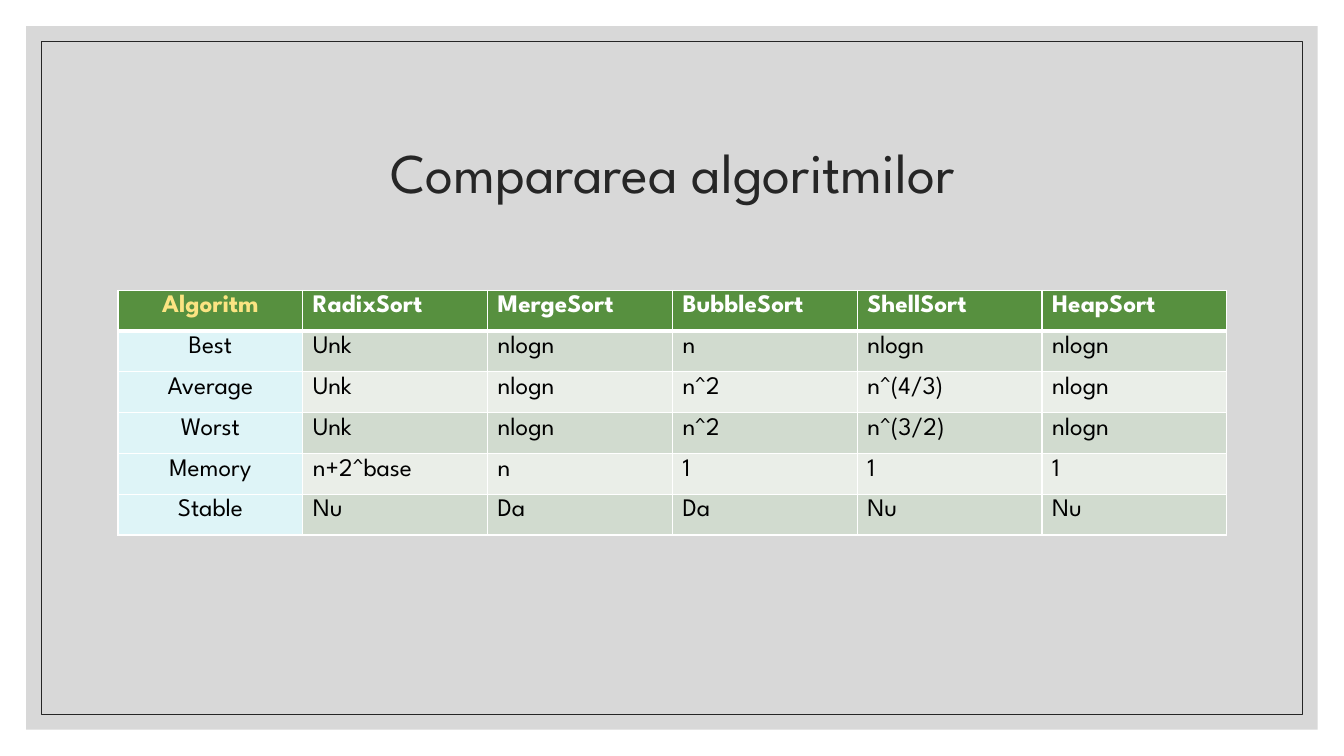
from lxml import etree
from pptx import Presentation
from pptx import util as u
from pptx.dml.color import RGBColor
from pptx.enum import shapes, text
from pptx.oxml.ns import qn

FONT = "League Spartan"
WIDTH, HEIGHT = 13.33, 7.5
ROWS = [
    ["Algoritm", "RadixSort", "MergeSort", "BubbleSort", "ShellSort", "HeapSort"],
    ["Best", "Unk", "nlogn", "n", "nlogn", "nlogn"],
    ["Average", "Unk", "nlogn", "n^2", "n^(4/3)", "nlogn"],
    ["Worst", "Unk", "nlogn", "n^2", "n^(3/2)", "nlogn"],
    ["Memory", "n+2^base", "n", "1", "1", "1"],
    ["Stable", "Nu", "Da", "Da", "Nu", "Nu"],
]


def color(value):
    return RGBColor.from_string(value)


def inches(box):
    return [u.Inches(length) for length in box]


def inset(margin):
    """Box that leaves the same margin on every side of the slide."""
    return margin, margin, WIDTH - 2 * margin, HEIGHT - 2 * margin


def style(para, size, shade, bold=False, centred=False):
    para.font.name = FONT
    para.font.size = u.Pt(size)
    para.font.bold = bold
    para.font.color.rgb = color(shade)
    para.alignment = text.PP_ALIGN.CENTER if centred else text.PP_ALIGN.LEFT


def add_backdrop(page):
    # Translucent grey panel
    panel = page.shapes.add_shape(shapes.MSO_SHAPE.RECTANGLE, *inches(inset(0.26)))
    panel.shadow.inherit = False
    panel.fill.solid()
    panel.fill.fore_color.rgb = color("BFBFBF")
    panel.line.fill.background()
    shade = panel.fill._xPr.find(".//" + qn("a:srgbClr"))
    etree.SubElement(shade, qn("a:alpha"), val="60000")

    # Thin inner frame
    frame = page.shapes.add_shape(shapes.MSO_SHAPE.RECTANGLE, *inches(inset(0.41)))
    frame.shadow.inherit = False
    frame.fill.background()
    frame.line.color.rgb = color("262626")
    frame.line.width = u.Pt(0.5)


def add_title(page, box, wording):
    title = page.shapes.title
    title.left, title.top, title.width, title.height = inches(box)
    title.text_frame.text = wording
    title.text_frame.auto_size = text.MSO_AUTO_SIZE.NONE
    title.text_frame.vertical_anchor = text.MSO_ANCHOR.MIDDLE
    para = title.text_frame.paragraphs[0]
    para.line_spacing = 0.9
    style(para, 40, "262626", centred=True)
    # Bring the title in front of the backdrop
    page.shapes._spTree.append(title._element)


def set_borders(cell, widths):
    """Draw white borders; widths are points for left, right, top, bottom."""
    properties = cell._tc.get_or_add_tcPr()
    for index, (side, width) in enumerate(zip("LRTB", widths)):
        line = etree.Element(qn("a:ln" + side), w=str(u.Pt(width)))
        fill = etree.SubElement(line, qn("a:solidFill"))
        etree.SubElement(fill, qn("a:srgbClr"), val="FFFFFF")
        properties.insert(index, line)


def cell_colors(row, column):
    """Fill and text colour of a cell."""
    if row == 0:
        return "57903F", "FBE482" if column == 0 else "FFFFFF"
    if column == 0:
        return "DEF4F7", "000000"
    return "D1DBCF" if row % 2 else "EAEEE8", "000000"


def add_comparison(page, box, rows):
    table = page.shapes.add_table(len(rows), len(rows[0]), *inches(box)).table
    for row, values in enumerate(rows):
        for column, value in enumerate(values):
            cell = table.cell(row, column)
            fill, shade = cell_colors(row, column)
            cell.text = value
            cell.fill.solid()
            cell.fill.fore_color.rgb = color(fill)
            style(cell.text_frame.paragraphs[0], 18, shade,
                  bold=row == 0, centred=column == 0)
            # Heavier rule below the header
            set_borders(cell, (1, 1, 3 if row == 1 else 1, 3 if row == 0 else 1))


def main():
    deck = Presentation()
    deck.slide_width, deck.slide_height = inches((WIDTH, HEIGHT))
    page = deck.slides.add_slide(deck.slide_layouts[5])
    add_backdrop(page)
    add_title(page, (1.17, 0.99, 11, 1.5), "Compararea algoritmilor")
    add_comparison(page, (1.17, 2.88, 11, 2.43), ROWS)
    deck.save("out.pptx")


if __name__ == "__main__":
    main()
